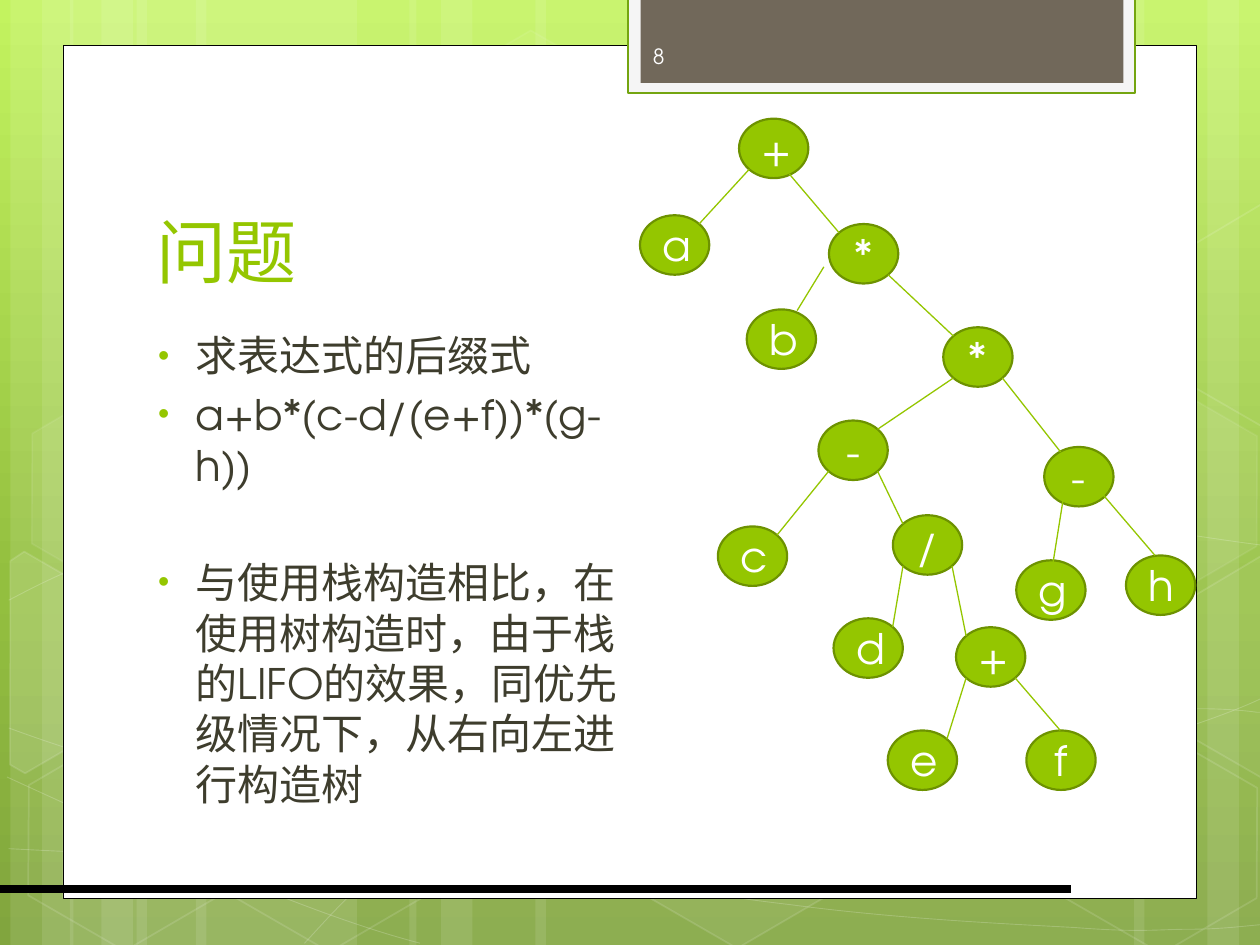
from copy import deepcopy
from lxml.etree import SubElement as Sub
from pptx import Presentation
from pptx.dml.color import RGBColor
from pptx.enum.shapes import MSO_CONNECTOR as Wire, MSO_SHAPE as Kind
from pptx.enum.text import MSO_ANCHOR as Anchor, PP_ALIGN as Align
from pptx.oxml.ns import qn
from pptx.util import Pt

FACE = "TeX Gyre Adventor"
GREEN, DARK, WHITE, BLACK = "94C600", "6D9200", "FFFFFF", "000000"

STOPS = [(0, "C3F35F"), (0.62, "93BF3F"), (1, "81A53E")]
STRIPS = [(78, 126), (6, 36), (24, 60), (112, 126), (40, 36), (58, 60),
          (528, 126), (690, 36), (648, 60), (306, 222), (234, 36), (252, 60)]
SWOOPS = [
    [(5, 485), (44, 487), (83, 489), (137, 488), (191, 487), (258, 486), (330, 479),
     (402, 472), (504, 458), (570, 444), (636, 431), (703, 409), (725, 397)],
    [(5, 343), (26, 332), (47, 321), (87, 310), (128, 299), (186, 284), (250, 279),
     (314, 274), (392, 273), (471, 279), (550, 284), (682, 307), (725, 312)],
    [(4, 444), (91, 484), (178, 523), (240, 539)],
    [(5, 416), (27, 424), (50, 432), (92, 443), (134, 454), (197, 472), (257, 485),
     (317, 497), (392, 510), (452, 517), (512, 525), (576, 528), (614, 530),
     (652, 533), (662, 531), (680, 531), (699, 531), (712, 529), (725, 528)],
    [(174, 539), (187, 525), (200, 510), (217, 497), (235, 485), (259, 470), (279, 460),
     (299, 450), (312, 446), (338, 438), (364, 431), (413, 421), (438, 416),
     (464, 411), (467, 411), (490, 410), (512, 407), (547, 405), (572, 405),
     (597, 404), (638, 405), (638, 405), (686, 405),
     (699, 405), (711, 406), (718, 407), (724, 407), (722, 407), (724, 407)],
]
HEXES = [(240.5, 26, 4, 8), (358, 424, 6, 12), (8, 425.5, 0, 12), (10, 224.5, 7, 8),
         (125, 426, 0, 12), (542, 326, 10, 12), (600.5, 427, 0, 12), (600.5, 226, 7, 8)]
LEFT = [(0, 8.6), (4.2, 0), (68, 0), (99, 55.3), (68, 109.5), (58, 109.5)]
RIGHT = [(0, 54.5), (30.5, 0), (37.5, 0), (98, 104), (94.5, 109.5), (31, 109.5)]
SHARDS = [(LEFT, -23.8, 330.5, 10), (RIGHT, 660.2, 319.7, 4), (RIGHT, 660.2, 118.8, 0)]

NODES = {
    "root": ("+", 56.6, 0), "a": ("a", 0, 55.2), "times": ("*", 108, 60.2),
    "b": ("b", 61, 109), "prod": ("*", 173.3, 119.2), "minus": ("-", 102, 172.5),
    "c": ("c", 44.5, 233), "over": ("/", 144.5, 226.6), "d": ("d", 110.6, 285.5),
    "sum": ("+", 180.6, 290.6), "e": ("e", 141.6, 349.6), "f": ("f", 220.8, 349.6),
    "diff": ("-", 231, 187.6), "g": ("g", 215, 252.4), "h": ("h", 277.7, 249.6),
}
EDGES = [
    ("root", "a", None, None), ("root", "times", (28.8, 31.7), None),
    ("times", "b", (-2.9, 24.5), (28.8, 0.7)), ("times", "prod", None, None),
    ("prod", "minus", None, None), ("prod", "diff", None, (9.4, 2.9)),
    ("minus", "c", None, None), ("minus", "over", None, None),
    ("over", "d", None, None), ("over", "sum", None, None),
    ("sum", "e", None, None), ("sum", "f", None, (19.4, 0)),
    ("diff", "g", (11.5, 25.9), (20.9, 2.2)), ("diff", "h", (32.4, 25.9), (16.6, 0)),
]
POINTS = [("求表达式的后缀式", 4.8), ("a+b*(c-d/(e+f))*(g-h))", 4.8),
          ("与使用栈构造相比，在使用树构造时，由于栈的LIFO的效果，同优先级情况下，从右向左进行构造树", 38.4)]


def tint(code):
    """Turn a hex string into a colour."""
    return RGBColor.from_string(code)


def apply(obj, **vals):
    """Set each named value on the object."""
    for key, val in vals.items():
        setattr(obj, key, val)


def fade(shape, pct):
    """Make the colour set last partly clear."""
    if pct < 100:
        last = list(shape.element.spPr.iter(qn("a:srgbClr")))[-1]
        Sub(last, qn("a:alpha"), val=str(pct * 1000))


def paint(shape, fill=None, line=None, width=1, clear=100, haze=100):
    """Give a shape its fill and line, without a shadow."""
    shape.shadow.inherit = False
    if fill and clear:
        shape.fill.solid()
        shape.fill.fore_color.rgb = tint(fill)
        fade(shape, clear)
    else:
        shape.fill.background()
    if line:
        shape.line.color.rgb = tint(line)
        shape.line.width = Pt(width)
        fade(shape, haze)
    else:
        shape.line.fill.background()


def block(slide, kind, box, **look):
    """Add a painted preset shape."""
    shape = slide.shapes.add_shape(kind, *map(Pt, box))
    paint(shape, **look)
    return shape


def wire(slide, start, end, code, width):
    """Add a straight line."""
    line = slide.shapes.add_connector(Wire.STRAIGHT, *map(Pt, (*start, *end)))
    line.line.color.rgb = tint(code)
    line.line.width = Pt(width)
    Sub(line.element.spPr, qn("a:effectLst"))


def outline(slide, pts, x, y, close, **look):
    """Add a painted outline through the points."""
    spots = [(Pt(x + px), Pt(y + py)) for px, py in pts]
    pen = slide.shapes.build_freeform(*spots[0])
    pen.add_line_segments(spots[1:], close=close)
    shape = pen.convert_to_shape()
    paint(shape, **look)
    return shape


def bend(shape, flat):
    """Join points by threes into cubic curves, but leave the flat one a line."""
    legs = list(shape.element.iter(qn("a:lnTo")))
    legs = [leg for i, leg in enumerate(legs) if i != flat]
    for first, *rest in zip(legs[::3], legs[1::3], legs[2::3]):
        curve = first.getparent().makeelement(qn("a:cubicBezTo"))
        first.addprevious(curve)
        for leg in (first, *rest):
            curve.append(leg[0])
            leg.getparent().remove(leg)


def write(para, text, size, code):
    """Add one run of text to a paragraph."""
    run = para.add_run()
    run.text = text
    apply(run.font, name=FACE, size=Pt(size))
    run.font.color.rgb = tint(code)


def label(slide, box, text, size, code, anchor):
    """Add a one-line text box."""
    frame = slide.shapes.add_textbox(*map(Pt, box)).text_frame
    apply(frame, word_wrap=True, vertical_anchor=anchor)
    write(frame.paragraphs[0], text, size, code)


def ground(slide):
    """Fill the background with the green gradient."""
    fill = slide.background.fill
    fill.gradient()
    fill.gradient_angle = 270
    stops = next(slide.element.iter(qn("a:gsLst")))
    stops.append(deepcopy(stops[-1]))
    for stop, (spot, code) in zip(fill.gradient_stops, STOPS):
        stop.position = spot
        stop.color.rgb = tint(code)


def decor(slide, box):
    """Draw the pale strips, curves and hexagons."""
    x, y, w, h = box
    for left, wide in STRIPS:
        block(slide, Kind.RECTANGLE, (x + left, y, wide, h), fill=WHITE, clear=10)
    for pts in SWOOPS:
        curve = outline(slide, pts, x, y, False, line=WHITE, width=0.5, haze=20)
        bend(curve, 21 if pts is SWOOPS[-1] else None)
    for left, top, clear, haze in HEXES:
        cell = block(slide, Kind.HEXAGON, (x + left, y + top, 126, 109.4),
                     fill=WHITE, clear=clear, line=WHITE, haze=haze)
        cell.rotation = 30
        cell.adjustments[0] = 0.285
    for pts, left, top, clear in SHARDS:
        shard = outline(slide, pts, x + left, y + top, True,
                        fill=WHITE, clear=clear, line=WHITE, haze=12)
        shard.rotation = 30


def panel(slide, box):
    """Draw the white page with its tab, number and rule."""
    x, y, w, h = box
    block(slide, Kind.RECTANGLE, box, fill=WHITE, line=BLACK, width=0.5)
    block(slide, Kind.RECTANGLE, (x + 323, y - 27.4, 289.7, 54.8),
          fill="F5F5F5", line="74A510", width=1.25)
    block(slide, Kind.RECTANGLE, (x + 330, y - 27.4, 276, 48.8), fill="71685A")
    wire(slide, (x - 36, y + 482), (x + 576, y + 482), BLACK, 4.5)
    label(slide, (x + 330, y - 8.4, 105, 28.8), "8", 12, "FEFEFE", Anchor.MIDDLE)


def bullets(slide, box):
    """Write the bulleted text."""
    frame = slide.shapes.add_textbox(*map(Pt, box)).text_frame
    frame.word_wrap = True
    for i, (text, gap) in enumerate(POINTS):
        para = frame.add_paragraph() if i else frame.paragraphs[0]
        para.space_before = Pt(gap)
        props = para._p.get_or_add_pPr()
        props.set("marL", str(Pt(27)))
        props.set("indent", str(Pt(-21.6)))
        Sub(Sub(props, qn("a:buClr")), qn("a:srgbClr"), val=GREEN)
        Sub(props, qn("a:buSzPct"), val="76000")
        Sub(props, qn("a:buFont"), typeface="Arial")
        Sub(props, qn("a:buChar"), char="•")
        write(para, text, 24, "3E3D2D")


def tree(slide, box, w=39.6, h=34):
    """Draw the expression tree."""
    x, y = box[:2]
    for text, dx, dy in NODES.values():
        node = block(slide, Kind.OVAL, (x + dx, y + dy, w, h), fill=GREEN, line=DARK, width=1.25)
        para = node.text_frame.paragraphs[0]
        para.alignment = Align.CENTER
        write(para, text, 24, WHITE)
    near, far, high, low = 5.8, w - 5.8, 5, h - 5
    for top, kid, start, end in EDGES:
        (_, px, py), (_, kx, ky) = NODES[top], NODES[kid]
        ends = (near, far) if kx < px else (far, near)
        sx, sy = start or (ends[0], low)
        ex, ey = end or (ends[1], high)
        wire(slide, (x + px + sx, y + py + sy), (x + kx + ex, y + ky + ey), GREEN, 0.75)


def main():
    """Build and save the slide."""
    deck = Presentation()
    apply(deck, slide_width=Pt(720), slide_height=Pt(540))
    slide = deck.slides.add_slide(deck.slide_layouts[6])
    ground(slide)
    decor(slide, (0, 0, 720, 540))
    panel(slide, (36, 26, 648, 487.2))
    label(slide, (82.4, 80.6, 553, 90), "问题", 40, GREEN, Anchor.BOTTOM)
    bullets(slide, (77.8, 185, 300, 276.5))
    tree(slide, (365.7, 67.8, 318, 384))
    deck.save("out.pptx")


if __name__ == "__main__":
    main()
